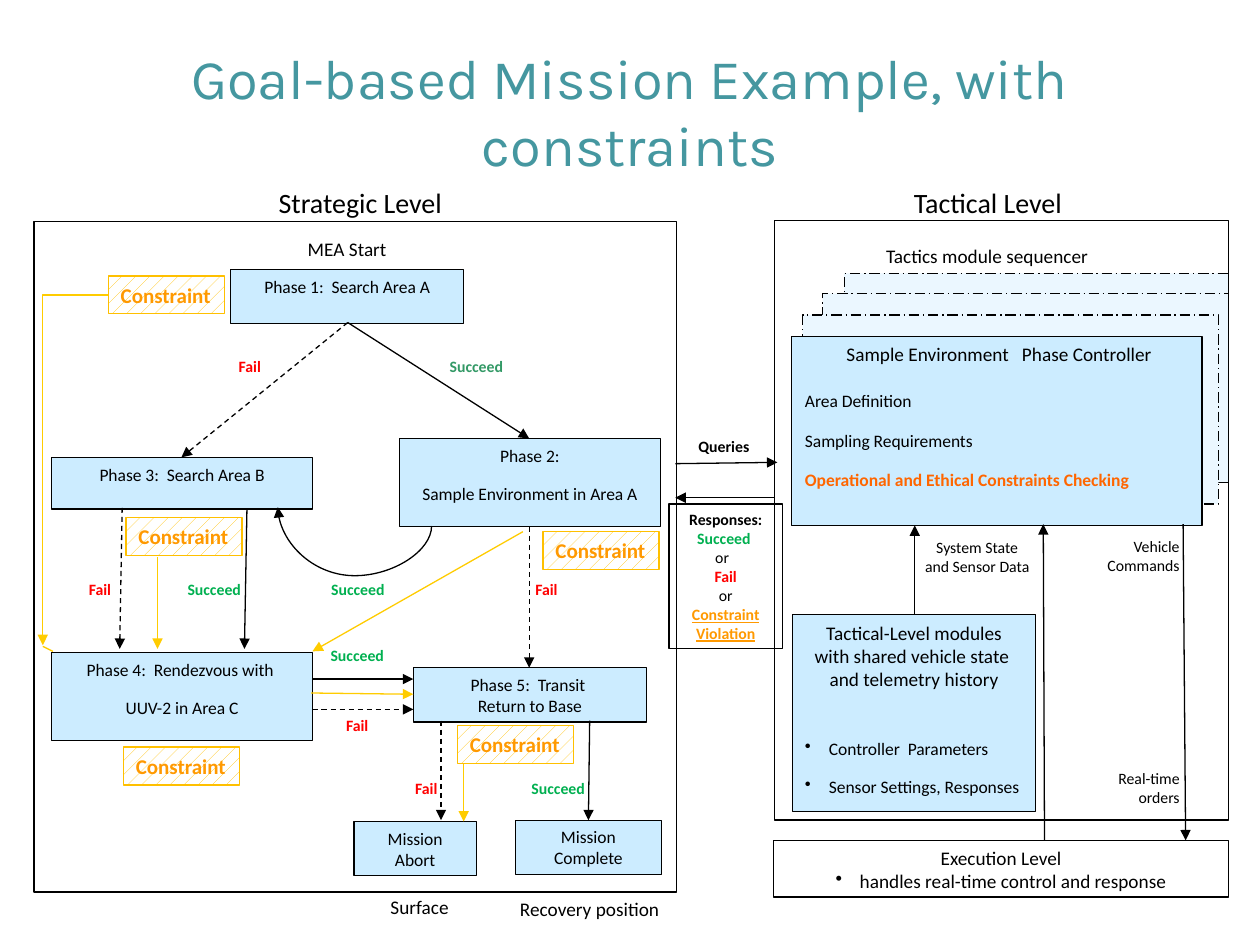
from dataclasses import dataclass
from typing import NamedTuple, Optional

from lxml.etree import SubElement
from pptx import Presentation
from pptx.dml.color import RGBColor
from pptx.enum.dml import MSO_LINE_DASH_STYLE as Dash, MSO_PATTERN_TYPE as Pat
from pptx.enum.shapes import MSO_CONNECTOR_TYPE as Conn, MSO_SHAPE as Form
from pptx.enum.text import MSO_ANCHOR as Anchor, MSO_AUTO_SIZE as Fit, PP_ALIGN as Align
from pptx.oxml.ns import qn
from pptx.util import Inches, Pt

BLACK = RGBColor(0x00, 0x00, 0x00)
WHITE = RGBColor(0xFF, 0xFF, 0xFF)
SKY = RGBColor(0xCC, 0xEC, 0xFF)
PALE = RGBColor(0xEB, 0xF7, 0xFF)
TEAL = RGBColor(0x45, 0x97, 0xA0)
RED = RGBColor(0xFF, 0x00, 0x00)
GREEN = RGBColor(0x00, 0xB0, 0x50)
MOSS = RGBColor(0x33, 0x99, 0x66)
AMBER = RGBColor(0xFF, 0x99, 0x00)
ORANGE = RGBColor(0xFF, 0x66, 0x00)
GOLD = RGBColor(0xFF, 0xC0, 0x00)
YELLOW = RGBColor(0xFF, 0xCC, 0x00)
LEFT, MID, RIGHT = Align.LEFT, Align.CENTER, Align.RIGHT


class Run(NamedTuple):
    text: str
    color: RGBColor = BLACK
    bold: bool = False
    underline: bool = False


@dataclass
class Box:
    at: tuple
    paras: tuple = ()  # each a tuple of runs; a leading • makes a bullet
    size: float = 10
    align: Align = MID
    gap: float = 0
    fill: Optional[RGBColor] = SKY
    dash: Optional[Dash] = None


@dataclass
class Arrow:
    start: tuple
    end: tuple
    color: RGBColor = BLACK
    dash: Optional[Dash] = None
    head: bool = True
    kind: Conn = Conn.STRAIGHT


def lines(*texts: str) -> tuple:
    return tuple((Run(text),) for text in texts)


def write(frame, paras: tuple, size: float, align: Align, gap: float) -> None:
    frame.word_wrap = True
    frame.vertical_anchor = Anchor.TOP
    for i, runs in enumerate(paras):
        para = frame.add_paragraph() if i else frame.paragraphs[0]
        para.alignment = align
        if gap:
            para.space_after = Pt(gap)
        if runs[0].text.startswith("•"):
            props = para._p.get_or_add_pPr()
            props.set("marL", str(Inches(0.19)))
            props.set("indent", str(-Inches(0.19)))
            SubElement(props, qn("a:buChar")).set("char", "•")
        for part in runs:
            run = para.add_run()
            run.text = part.text.lstrip("•")
            look = {"name": "Calibri", "size": Pt(size), "bold": part.bold,
                    "underline": part.underline}
            for key, value in look.items():
                setattr(run.font, key, value)
            run.font.color.rgb = part.color


def draw_box(slide, box: Box):
    shape = slide.shapes.add_shape(Form.RECTANGLE, *map(Inches, box.at))
    shape.shadow.inherit = False
    if box.fill is None:
        shape.fill.background()
    else:
        shape.fill.solid()
        shape.fill.fore_color.rgb = box.fill
    shape.line.color.rgb = BLACK
    shape.line.width = Pt(0.75)
    if box.dash:
        shape.line.dash_style = box.dash
    write(shape.text_frame, box.paras, box.size, box.align, box.gap)
    return shape


def draw_label(slide, at: tuple, paras: tuple, size: float, align: Align, gap: float = 10) -> None:
    area = slide.shapes.add_textbox(*map(Inches, at))
    write(area.text_frame, paras, size, align, gap)


def draw_tag(slide, left: float, top: float) -> None:
    tag = draw_box(slide, Box((left, top, 0.92, 0.3), ((Run("Constraint", AMBER, True),),), 12, LEFT))
    tag.fill.patterned()
    tag.fill.pattern = Pat.PERCENT_10
    tag.fill.fore_color.rgb = GOLD
    tag.fill.back_color.rgb = WHITE
    tag.line.color.rgb = GOLD
    tag.text_frame.word_wrap = False
    tag.text_frame.auto_size = Fit.SHAPE_TO_FIT_TEXT


def draw_arrow(slide, arrow: Arrow):
    link = slide.shapes.add_connector(arrow.kind, *map(Inches, arrow.start + arrow.end))
    link.line.color.rgb = arrow.color
    link.line.width = Pt(0.75)
    if arrow.dash:
        link.line.dash_style = arrow.dash
    if arrow.head:
        SubElement(link.line._get_or_add_ln(), qn("a:tailEnd")).set("type", "triangle")
    SubElement(link._element.spPr, qn("a:effectLst"))
    return link


BOXES = [
    # Stacked phase controllers behind the frames
    *(Box((x, y, w, 1.5), fill=PALE, dash=Dash.LONG_DASH_DOT)
      for x, y, w in ((6.7, 2.17, 3.05), (6.53, 2.33, 3.22), (6.37, 2.5, 3.3))),
    # Strategic level
    Box((0.27, 1.76, 5.1, 5.32), fill=WHITE),
    Box((1.83, 2.14, 1.85, 0.43), lines("Phase 1:  Search Area A"), gap=10),
    Box((3.17, 3.48, 2.07, 0.7), lines("Phase 2:", "Sample Environment in Area A"), gap=10),
    Box((0.41, 3.63, 2.07, 0.41), lines("Phase 3:  Search Area B"), gap=10),
    Box((0.41, 5.18, 2.07, 0.7), lines("Phase 4:  Rendezvous with ", "UUV-2 in Area C"), gap=10),
    Box((3.28, 5.3, 1.85, 0.43), lines("Phase 5:  Transit ", "Return to Base")),
    Box((2.81, 6.52, 0.97, 0.43), lines("Mission Abort"), gap=10),
    Box((4.09, 6.51, 1.16, 0.43), lines("Mission Complete"), gap=10),
    # Tactical and execution levels
    Box((6.28, 2.67, 3.26, 1.5)),
    Box((6.15, 1.75, 3.6, 4.76), fill=None),
    Box((6.29, 4.88, 1.93, 1.56)),
    Box((6.14, 6.67, 3.61, 0.45),
        lines("Execution Level", "•handles real-time control and response"), 11, fill=None),
    Box((5.31, 4, 0.9, 1.15), (
        (Run("Responses: ", bold=True), Run("Succeed ", GREEN, True)),
        (Run("or  "),), (Run("Fail", RED, True),), (Run("or"),),
        (Run("Constraint Violation", AMBER, True, True),)), 9, fill=None),
]

ARROWS = [
    # Phase results
    *(Arrow(a, b) for a, b in (
        ((2.76, 2.56), (4.2, 3.48)), ((1.96, 4.04), (1.94, 5.15)),
        ((2.48, 5.39), (3.28, 5.39)), ((4.68, 5.72), (4.67, 6.51)))),
    *(Arrow(a, b, dash=Dash.DASH) for a, b in (
        ((2.76, 2.56), (1.44, 3.63)), ((0.97, 4.03), (0.95, 5.15)), ((2.48, 5.63), (3.28, 5.63)),
        ((4.2, 4.18), (4.2, 5.3)), ((3.5, 5.72), (3.5, 6.51)))),
    # Traffic between levels
    *(Arrow(a, b) for a, b in (
        ((5.36, 3.68), (6.17, 3.67)), ((6.15, 3.95), (5.36, 3.95)), ((9.39, 4.16), (9.41, 6.67)),
        ((8.29, 6.67), (8.28, 4.16)), ((7.26, 4.88), (7.26, 4.17)))),
    # Constraint flow
    Arrow((0.34, 5.13), (0.42, 5.17), YELLOW, head=False),
    *(Arrow(a, b, YELLOW) for a, b in (
        ((1.25, 4.42), (1.25, 5.15)), ((4.15, 4.22), (2.48, 5.17)),
        ((2.47, 5.5), (3.28, 5.51)), ((3.68, 6.06), (3.68, 6.52)))),
]

RESULTS = [
    ((3.47, 2.78, 1.01, 0.37), "Succeed", MOSS, LEFT), ((1.51, 2.78, 0.66, 0.37), "Fail", RED, RIGHT),
    ((4.15, 4.55, 0.68, 0.37), "Fail", RED, LEFT), ((0.33, 4.55, 0.65, 0.37), "Fail", RED, RIGHT),
    ((1, 4.55, 1.01, 0.37), "Succeed", GREEN, RIGHT), ((2.43, 4.55, 0.82, 0.29), "Succeed", GREEN, MID),
    ((2.33, 5.08, 1.01, 0.37), "Succeed", GREEN, MID), ((2.33, 5.63, 1.01, 0.37), "Fail", RED, MID),
    ((3.73, 6.13, 1.01, 0.37), "Succeed", GREEN, RIGHT), ((2.92, 6.13, 0.65, 0.37), "Fail", RED, RIGHT),
    ((5.24, 3.42, 1.01, 0.37), "Queries", BLACK, MID),
]

LABELS = [
    ((1.31, 1.42, 3.1, 0.45), "Strategic Level", 16, MID),
    ((6.29, 1.42, 3.1, 0.45), "Tactical Level", 16, MID),
    ((1.85, 1.83, 1.81, 0.22), "MEA Start", 11, MID),
    ((6.93, 1.89, 1.81, 0.22), "Tactics module sequencer", 11, MID),
    ((2.92, 7.06, 0.82, 0.22), "Surface", 11, MID),
    ((4, 7.07, 1.36, 0.22), "Recovery position", 11, MID),
    ((6.37, 2.67, 3.12, 0.38), "Sample Environment   Phase Controller", 11, MID),
    ((6.29, 3.05, 2.05, 0.4), "Area Definition", 10, LEFT),
    ((6.29, 3.36, 2.48, 0.4), "Sampling Requirements", 10, LEFT),
    ((6.29, 5.81, 1.94, 0.29), "•Controller  Parameters", 10, LEFT),
    ((6.29, 6.11, 1.94, 0.31), "•Sensor Settings, Responses", 10, LEFT),
]

NOTES = [
    ((7.24, 4.22, 1.03, 0.37), lines("System State and Sensor Data"), 9, MID),
    ((8.3, 4.21, 1.16, 0.38), lines("Vehicle", "Commands"), 9, RIGHT),
    ((8.74, 6.05, 0.72, 0.38), lines("Real-time orders"), 9, RIGHT),
    ((6.33, 4.88, 1.85, 0.78),
     lines("Tactical-Level modules with shared vehicle state ", "and telemetry history"), 11, MID),
]

TAGS = [(0.86, 2.19), (3.63, 5.76), (0.98, 5.93), (4.31, 4.22), (1, 4.11)]


def main() -> None:
    deck = Presentation()
    deck.slide_width, deck.slide_height = Inches(10), Inches(7.5)
    slide = deck.slides.add_slide(deck.slide_layouts[5])

    # Title
    title = slide.shapes.title
    title.left, title.top, title.width, title.height = map(Inches, (0.25, 0.25, 9.5, 1.25))
    write(title.text_frame, ((Run("Goal-based Mission Example, with constraints", TEAL),),), 32, MID, 0)
    title.text_frame.vertical_anchor = Anchor.MIDDLE
    title.text_frame.auto_size = Fit.NONE
    title.text_frame.paragraphs[0].runs[0].font.name = "Karla"

    # Boxes and straight arrows
    for box in BOXES:
        draw_box(slide, box)
    for arrow in ARROWS:
        draw_arrow(slide, arrow)

    # Loop from phase 2 back to phase 3, a quarter turn with a deep bend
    loop = draw_arrow(slide, Arrow((2.74, 4.71), (2.89, 3.49), kind=Conn.CURVE))
    loop._element.spPr.find(qn("a:xfrm")).set("rot", str(270 * 60000))
    bend = SubElement(loop._element.spPr.find(qn("a:prstGeom")).find(qn("a:avLst")), qn("a:gd"))
    bend.set("name", "adj1")
    bend.set("fmla", "val -262800")

    # Single-corner arrow from the phase 1 constraint
    corner = draw_arrow(slide, Arrow((0.86, 2.34), (0.34, 5.12), YELLOW, kind=Conn.ELBOW))
    corner._element.spPr.find(qn("a:prstGeom")).set("prst", "bentConnector2")

    # Labels
    for at, text, color, align in RESULTS:
        draw_label(slide, at, ((Run(text, color, True),),), 9, align)
    for at, text, size, align in LABELS:
        draw_label(slide, at, lines(text), size, align)
    for at, paras, size, align in NOTES:
        draw_label(slide, at, paras, size, align, 0)
    checks = Run("Operational and Ethical Constraints Checking", ORANGE, True)
    draw_label(slide, (6.29, 3.67, 3.12, 0.4), ((checks,),), 10, LEFT)
    for left, top in TAGS:
        draw_tag(slide, left, top)

    deck.save("out.pptx")


if __name__ == "__main__":
    main()
